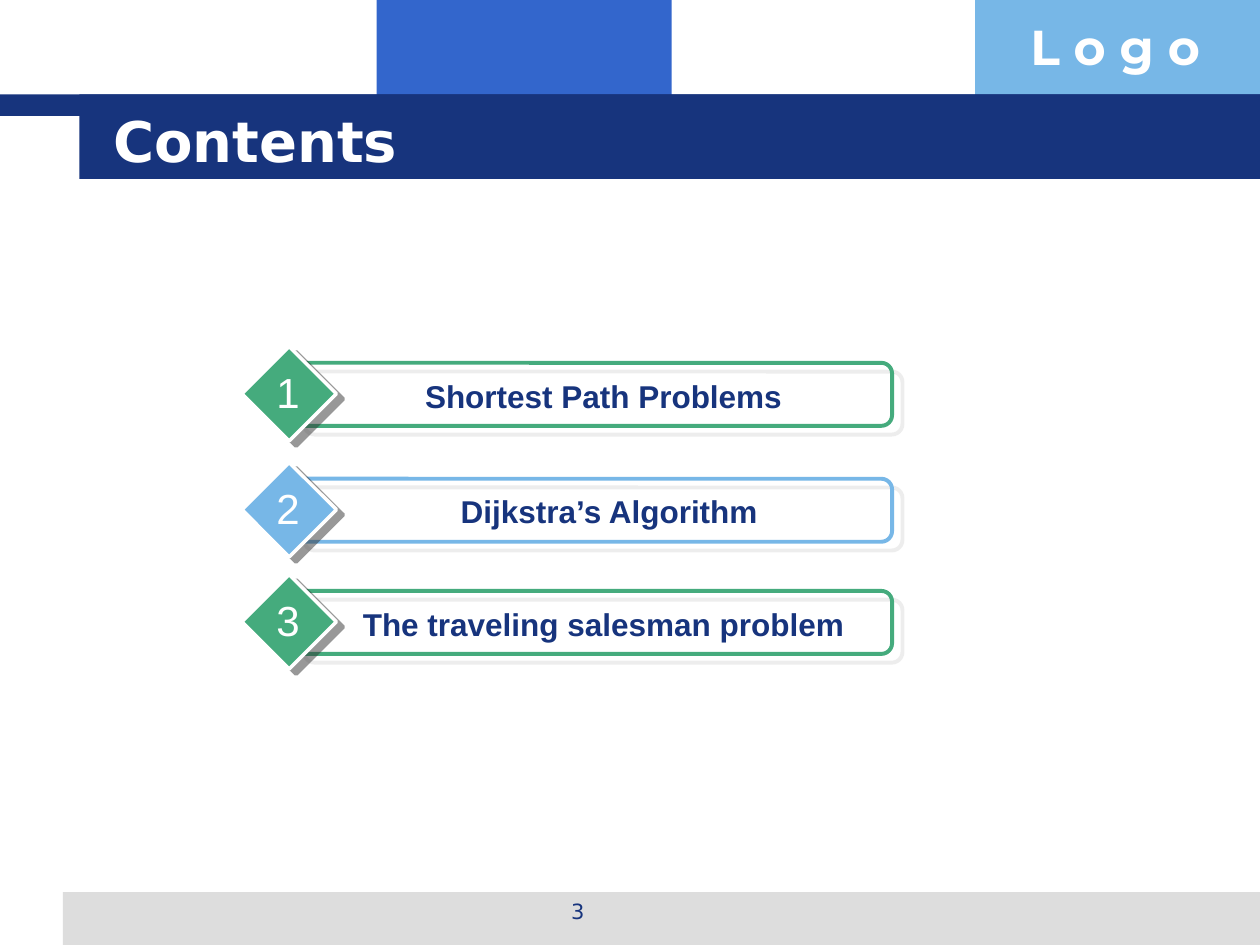
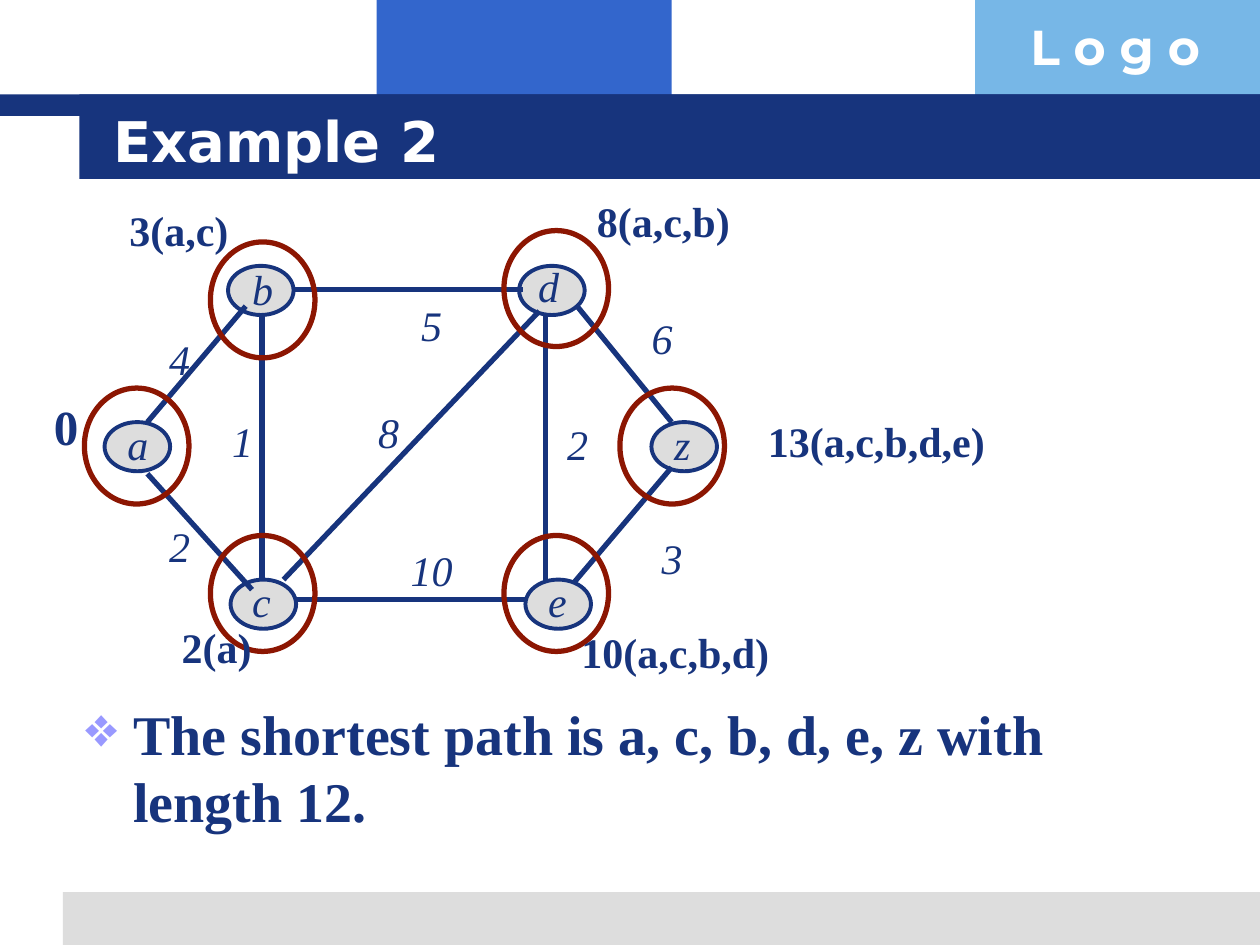
from dataclasses import dataclass

from lxml.etree import SubElement
from pptx import Presentation
from pptx.dml.color import RGBColor
from pptx.enum.shapes import MSO_CONNECTOR, MSO_SHAPE
from pptx.enum.text import MSO_ANCHOR, PP_ALIGN
from pptx.oxml.ns import qn
from pptx.util import Inches, Pt


@dataclass(frozen=True)
class Theme:
    navy: str = "17347D"
    blue: str = "3366CC"
    sky: str = "77B7E7"
    green: str = "45AB7D"
    grey: str = "DDDDDD"
    charcoal: str = "333333"
    red: str = "8C1602"
    lilac: str = "9999FF"
    white: str = "FFFFFF"
    heading_font: str = "DejaVu Sans"
    logo_font: str = "Montserrat"
    item_font: str = "Arial"
    graph_font: str = "Times New Roman"
    heading_size: int = 32
    logo_size: int = 28
    graph_size: int = 24
    item_size: int = 18
    footer_size: int = 12


theme = Theme()


def add_text(slide, text, left, top, width, height, *, font=theme.graph_font,
             size=theme.graph_size, color=theme.navy, bold=False, italic=False,
             align=PP_ALIGN.CENTER, anchor=MSO_ANCHOR.TOP):
    box = slide.shapes.add_textbox(Inches(left), Inches(top), Inches(width), Inches(height))
    frame = box.text_frame
    frame.word_wrap = True
    frame.vertical_anchor = anchor
    paragraph = frame.paragraphs[0]
    paragraph.alignment = align
    run = paragraph.add_run()
    run.text = text
    run.font.name = font
    run.font.size = Pt(size)
    run.font.bold = bold
    run.font.italic = italic
    run.font.color.rgb = RGBColor.from_string(color)
    return paragraph


def add_block(slide, preset, left, top, width, height, *, fill=None, line=None,
              weight=1, shadow=None):
    block = slide.shapes.add_shape(preset, Inches(left), Inches(top), Inches(width), Inches(height))
    block.shadow.inherit = False
    if fill:
        block.fill.solid()
        block.fill.fore_color.rgb = RGBColor.from_string(fill)
    else:
        block.fill.background()
    if line:
        block.line.color.rgb = RGBColor.from_string(line)
        block.line.width = Pt(weight)
    else:
        block.line.fill.background()
    if shadow:
        color, distance, angle = shadow
        effects = block._element.spPr.find(qn("a:effectLst"))
        outer = SubElement(effects, qn("a:outerShdw"), blurRad="0", dist=str(Pt(distance)),
                           dir=str(angle * 60000), algn="ctr", rotWithShape="0")
        tint = SubElement(outer, qn("a:srgbClr"), val=color)
        SubElement(tint, qn("a:alpha"), val="50000")
    return block


deck = Presentation()
deck.slide_width = Inches(10)
deck.slide_height = Inches(7.5)

bands = [
    (2.99, 0, 2.34, 0.92, theme.blue),
    (7.74, 0, 2.26, 0.92, theme.sky),
    (0.5, 7.08, 9.5, 0.42, theme.grey),
    (0, 0.75, 10, 0.17, theme.navy),
    (0.63, 0.75, 9.37, 0.67, theme.navy),
]
slides = []
for title in ("Contents", "Example 2"):
    slide = deck.slides.add_slide(deck.slide_layouts[6])
    for *place, color in bands:
        add_block(slide, MSO_SHAPE.RECTANGLE, *place, fill=color)
    add_text(slide, "L o g o", 8.08, 0.08, 1.93, 0.57, font=theme.logo_font,
             size=theme.logo_size, color=theme.white, bold=True, align=PP_ALIGN.LEFT)
    add_text(slide, title, 0.8, 0.8, 8.53, 0.62, font=theme.heading_font,
             size=theme.heading_size, color=theme.white, bold=True, align=PP_ALIGN.LEFT,
             anchor=MSO_ANCHOR.MIDDLE)
    slides.append(slide)
contents, example = slides

add_text(contents, "3", 3.42, 7.08, 2.33, 0.35, font=theme.heading_font, size=theme.footer_size)

topics = [
    ("Shortest Path Problems", 2.75, 2.58, theme.green),
    ("Dijkstra’s Algorithm", 3.67, 2.67, theme.sky),
    ("The traveling salesman problem", 4.56, 2.58, theme.green),
]
for number, (topic, top, topic_left, color) in enumerate(topics, 1):
    frame = add_block(contents, MSO_SHAPE.ROUNDED_RECTANGLE, 2.33, top + 0.13, 4.75, 0.5,
                      line=color, weight=2.25, shadow=(theme.grey, 7.8, 40))
    frame.adjustments[0] = 0.17
    add_block(contents, MSO_SHAPE.DIAMOND, 1.92, top, 0.75, 0.75, fill=color,
              line=theme.white, weight=2, shadow=(theme.charcoal, 5, 37))
    add_text(contents, topic, topic_left, top + 0.19, 7 - topic_left, 0.4,
             font=theme.item_font, size=theme.item_size, bold=True)
    add_text(contents, str(number), 2.09, top + 0.11, 0.39, 0.5,
             font=theme.item_font, color=theme.white)

conclusion = add_text(example, "The shortest path is a, c, b, d, e, z with length 12.",
                      0.58, 5.5, 8.17, 1.33, size=theme.heading_size, bold=True,
                      align=PP_ALIGN.LEFT)
conclusion.space_before = Pt(theme.heading_size * 0.2)
bullet_format = conclusion._p.get_or_add_pPr()
bullet_format.set("marL", str(Inches(0.38)))
bullet_format.set("indent", str(Inches(-0.38)))
bullet_color = SubElement(bullet_format, qn("a:buClr"))
SubElement(bullet_color, qn("a:srgbClr"), val=theme.lilac)
SubElement(bullet_format, qn("a:buChar"), char="❖")

vertices = [
    ("a", (0.83, 3.35), (1.09, 3.52), (0.67, 3.08)),
    ("b", (1.81, 2.11), (2.08, 2.29), (1.67, 1.92)),
    ("c", (1.83, 4.6), (2.07, 4.77), (1.67, 4.25)),
    ("d", (4.12, 2.11), (4.35, 2.27), (4, 1.83)),
    ("e", (4.17, 4.6), (4.42, 4.77), (4, 4.25)),
    ("z", (5.17, 3.35), (5.41, 3.52), (4.92, 3.08)),
]
for letter, vertex_corner, letter_center, ring_corner in vertices:
    add_block(example, MSO_SHAPE.OVAL, *vertex_corner, 0.52, 0.39,
              fill=theme.grey, line=theme.navy, weight=2.25)

edges = [
    ("4", (1.17, 3.35), (1.95, 2.43), (1.42, 2.85)),
    ("2", (1.17, 3.76), (2, 4.68), (1.42, 4.33)),
    ("1", (2.08, 4.6), (2.08, 2.51), (1.92, 3.5)),
    ("5", (2.32, 2.3), (4.15, 2.3), (3.42, 2.58)),
    ("8", (2.25, 4.6), (4.28, 2.47), (3.08, 3.43)),
    ("10", (2.33, 4.76), (4.17, 4.76), (3.42, 4.52)),
    ("2", (4.33, 4.6), (4.33, 2.51), (4.58, 3.52)),
    ("6", (4.58, 2.43), (5.33, 3.35), (5.25, 2.68)),
    ("3", (4.55, 4.63), (5.33, 3.71), (5.33, 4.43)),
]
for weight, start, end, weight_center in edges:
    edge = example.shapes.add_connector(MSO_CONNECTOR.STRAIGHT, *map(Inches, start + end))
    edge.line.color.rgb = RGBColor.from_string(theme.navy)
    edge.line.width = Pt(3)
    SubElement(edge._element.spPr, qn("a:effectLst"))

letters = [(letter, center) for letter, corner, center, ring in vertices]
weights = [(weight, center) for weight, start, end, center in edges]
for text, (x, y) in letters + weights:
    add_text(example, text, x - 0.33, y - 0.25, 0.67, 0.5, italic=True, anchor=MSO_ANCHOR.MIDDLE)

for letter, vertex_corner, letter_center, ring_corner in vertices:
    add_block(example, MSO_SHAPE.OVAL, *ring_corner, 0.83, 0.92, line=theme.red, weight=3)

add_text(example, "0", 0.33, 3.1, 0.4, 0.57, size=theme.logo_size, bold=True, align=PP_ALIGN.LEFT)
distances = [
    ("3(a,c)", 0.88, 1.57, 1.08),
    ("2(a)", 1.26, 4.88, 0.92),
    ("8(a,c,b)", 4.43, 1.5, 1.67),
    ("10(a,c,b,d)", 4.46, 4.92, 1.8),
    ("13(a,c,b,d,e)", 5.83, 3.25, 2.25),
]
for distance, left, top, width in distances:
    add_text(example, distance, left, top, width, 0.5, bold=True, anchor=MSO_ANCHOR.MIDDLE)

deck.save("out.pptx")
